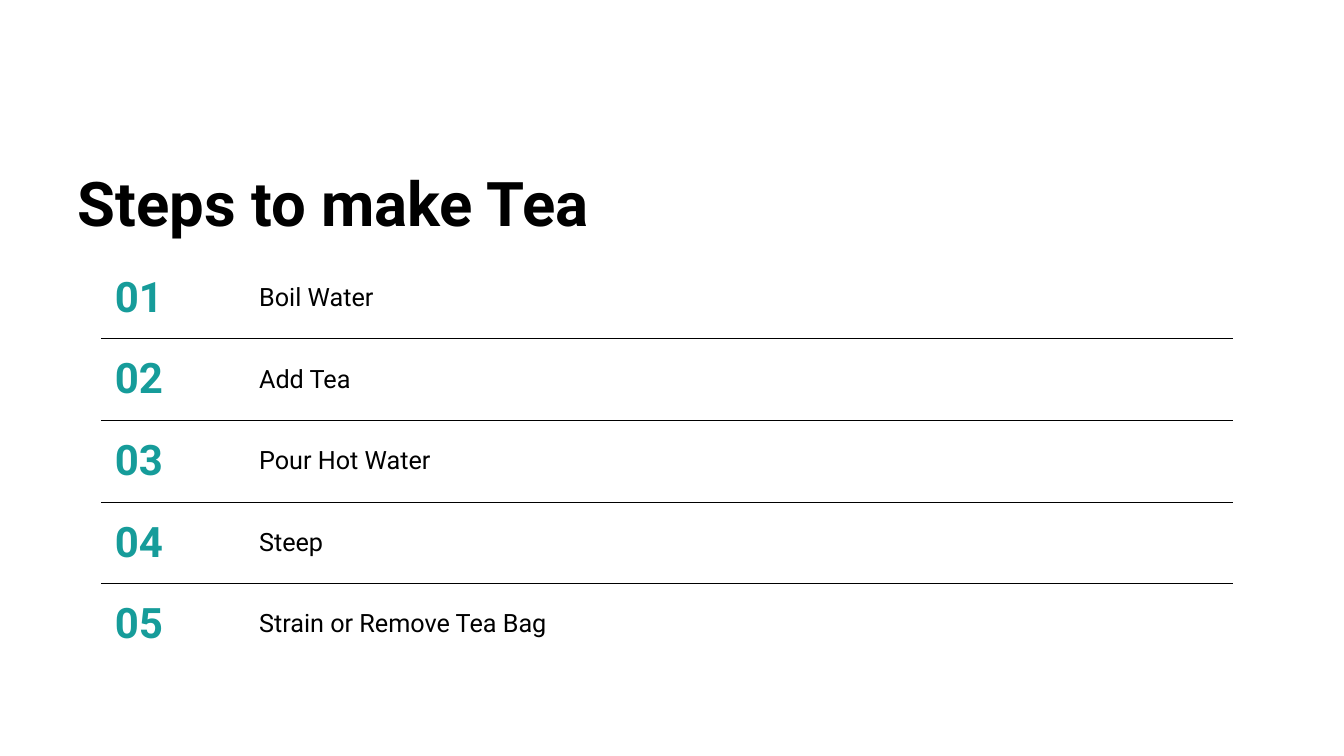
from lxml import etree
from pptx import Presentation
from pptx import util as u
from pptx.dml.color import RGBColor
from pptx.enum import text
from pptx.oxml.ns import qn

PX = 9144  # 100 px to the inch
FONT = "Roboto"
COLORS = {"ink": "000000", "accent": "169C9A"}
FORMATS = {
    "title": {"size": u.Pt(44), "bold": True, "name": FONT},
    "number": {"size": u.Pt(30), "bold": True, "name": FONT},
    "step": {"size": u.Pt(18), "bold": False, "name": FONT},
}
STEPS = ["Boil Water", "Add Tea", "Pour Hot Water", "Steep", "Strain or Remove Tea Bag"]
COLUMN_WIDTHS = [143, 454, 526]


def px(*lengths):
    return [u.Emu(length * PX) for length in lengths]


def format_text(paragraph, style, color):
    for name, value in FORMATS[style].items():
        setattr(paragraph.font, name, value)
    paragraph.font.color.rgb = RGBColor.from_string(COLORS[color])


def set_borders(cell, ruled_edges):
    """Draw a thin rule on the named edges and clear the others."""
    properties = cell._tc.get_or_add_tcPr()
    for index, edge in enumerate(["lnL", "lnR", "lnT", "lnB"]):
        line = etree.Element(qn(f"a:{edge}"), w=str(u.Pt(0.5)))
        if edge in ruled_edges:
            fill = etree.SubElement(line, qn("a:solidFill"))
            etree.SubElement(fill, qn("a:srgbClr"), val=COLORS["ink"])
        else:
            etree.SubElement(line, qn("a:noFill"))
        properties.insert(index, line)


def add_title(slide, box):
    title = slide.shapes.title
    title.left, title.top, title.width, title.height = px(*box)
    frame = title.text_frame
    frame.text = "Steps to make Tea"
    frame.word_wrap = True
    frame.vertical_anchor = text.MSO_ANCHOR.BOTTOM
    paragraph = frame.paragraphs[0]
    paragraph.alignment = text.PP_ALIGN.LEFT
    paragraph.line_spacing = 0.9
    format_text(paragraph, "title", "ink")


def add_steps(slide, box):
    table = slide.shapes.add_table(len(STEPS), len(COLUMN_WIDTHS), *px(*box)).table
    table.first_row = table.horz_banding = False
    for column, width in zip(table.columns, px(*COLUMN_WIDTHS)):
        column.width = width

    for row, step in enumerate(STEPS):
        # Number and step name; the last column stays empty
        contents = [(f"{row + 1:02}", "number", "accent"), (step, "step", "ink")]
        for column, (words, style, color) in enumerate(contents):
            cell = table.cell(row, column)
            cell.text = words
            format_text(cell.text_frame.paragraphs[0], style, color)

        # Rules between rows only
        edges = {"lnT"} if row > 0 else set()
        if row < len(STEPS) - 1:
            edges.add("lnB")
        for cell in table.rows[row].cells:
            cell.vertical_anchor = text.MSO_ANCHOR.MIDDLE
            for side in ["left", "right", "top", "bottom"]:
                setattr(cell, f"margin_{side}", u.Emu(14 * PX))
            cell.fill.background()
            set_borders(cell, edges)


def main():
    presentation = Presentation()
    presentation.slide_width, presentation.slide_height = px(1333, 750)
    slide = presentation.slides.add_slide(presentation.slide_layouts[5])
    add_title(slide, (67, 73, 926, 170))
    add_steps(slide, (100, 255, sum(COLUMN_WIDTHS), 81 * len(STEPS)))
    presentation.save("out.pptx")


if __name__ == "__main__":
    main()
